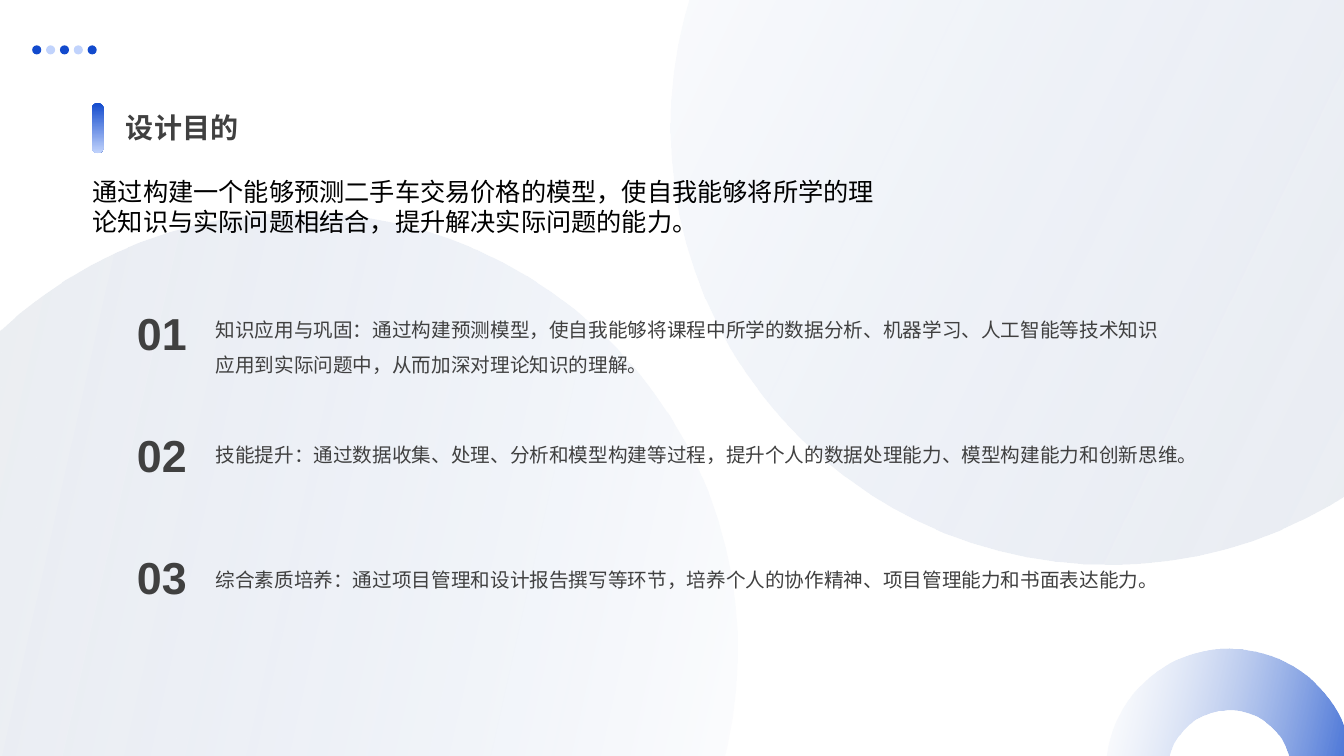
from pptx import Presentation
from pptx.dml.color import RGBColor
from pptx.enum import lang, shapes, text
from pptx.oxml import ns
from pptx.util import Pt
from lxml import etree

BLUE, PALE, MIST, GREY, INK = "124ACD", "C1D3FC", "C7D5ED", "F2F2F2", "404040"
SHAPE = shapes.MSO_SHAPE
CJK_FONT = "Noto Sans CJK SC"

TITLE = "设计目的"
INTRO = ("通过构建一个能够预测二手车交易价格的模型，使自我能够将所学的理论知识与实际问题相结合，"
         "提升解决实际问题的能力。")
GOALS = [
    ("知识应用与巩固：通过构建预测模型，使自我能够将课程中所学的数据分析、机器学习、"
     "人工智能等技术知识应用到实际问题中，从而加深对理论知识的理解。", 690),
    ("技能提升：通过数据收集、处理、分析和模型构建等过程，提升个人的数据处理能力、"
     "模型构建能力和创新思维。", 726),
    ("综合素质培养：通过项目管理和设计报告撰写等环节，培养个人的协作精神、"
     "项目管理能力和书面表达能力。", 690),
]


def color(value):
    return RGBColor.from_string(value)


def place(shape, left, top, width, height):
    shape.left, shape.top = Pt(left), Pt(top)
    shape.width, shape.height = Pt(width), Pt(height)


def add_plain(parent, kind, left, top, width, height):
    """Add a preset shape without line or shadow."""
    shape = parent.shapes.add_shape(kind, Pt(left), Pt(top), Pt(width), Pt(height))
    shape.shadow.inherit = False
    shape.line.fill.background()
    return shape


def shade(shape, start, end, fade=False):
    """Fill from top to bottom, optionally fading out to transparent."""
    shape.fill.gradient()
    shape.fill.gradient_angle = 270
    stops = shape.fill.gradient_stops
    for stop, value in zip(stops, (start, end)):
        stop.color.rgb = color(value)
    if fade:
        last = shape._element.spPr.findall(".//" + ns.qn("a:srgbClr"))[-1]
        etree.SubElement(last, ns.qn("a:alpha"), val="0")


def add_round(page, kind, left, top, size, rotation, start):
    shape = add_plain(page, kind, left, top, size, size)
    shape.rotation = rotation
    shade(shape, start, MIST, fade=True)


def add_dots(page):
    group = page.shapes.add_group_shape()
    for index in range(5):
        dot = add_plain(group, SHAPE.OVAL, 23 + 9.9 * index, 32.4, 6.5, 6.5)
        dot.fill.solid()
        dot.fill.fore_color.rgb = color(PALE if index % 2 else BLUE)


def write(box, words, size, value=INK, font="Arial", bold=False, spacing=1.0,
          anchor=text.MSO_ANCHOR.TOP):
    frame = box.text_frame
    frame.word_wrap = True
    frame.auto_size = text.MSO_AUTO_SIZE.NONE
    frame.vertical_anchor = anchor
    para = frame.paragraphs[0]
    para.text = words
    para.alignment = text.PP_ALIGN.LEFT
    para.line_spacing = spacing
    para.space_before = Pt(0)
    para.font.name, para.font.size, para.font.bold = font, Pt(size), bold
    para.font.color.rgb = color(value)
    para.font.language_id = lang.MSO_LANGUAGE_ID.SIMPLIFIED_CHINESE
    latin = para._p.pPr.find(".//" + ns.qn("a:latin"))
    latin.addnext(latin.makeelement(ns.qn("a:ea"), {"typeface": CJK_FONT}))


def fill_placeholder(page, box, frame, words, size, **style):
    """Write a placeholder without bullet and bring it to the front."""
    place(box, *frame)
    write(box, words, size, **style)
    properties = box.text_frame.paragraphs[0]._p.pPr
    properties.set("marL", "0")
    properties.set("indent", "0")
    bullet = properties.makeelement(ns.qn("a:buNone"), {})
    properties.find(ns.qn("a:defRPr")).addprevious(bullet)
    page.shapes._spTree.append(box._element)


def add_text(page, left, top, width, height, words, size, **style):
    box = page.shapes.add_textbox(Pt(left), Pt(top), Pt(width), Pt(height))
    write(box, words, size, **style)


def add_goal(page, index, words, width):
    add_text(page, 90.7, 206.6 + 87.1 * index, 50.4, 54, f"{index + 1:02}", 32,
             bold=True, spacing=1.2, anchor=text.MSO_ANCHOR.BOTTOM)
    height = 58.3 if index == 0 else 32.4
    add_text(page, 146.9, 215.3 + 89.3 * index, width, height, words, 14, spacing=1.5)


def main():
    deck = Presentation()
    deck.slide_width, deck.slide_height = Pt(960), Pt(540)
    page = deck.slides.add_slide(deck.slide_layouts[1])

    add_round(page, SHAPE.OVAL, -98.6, 151.9, 625.7, 282.6, GREY)
    add_round(page, SHAPE.OVAL, 478.8, -222.5, 625.7, 115.8, GREY)
    add_dots(page)
    add_round(page, SHAPE.DONUT, 789.8, 463, 176.4, 102.5, BLUE)

    for index, (words, width) in enumerate(GOALS):
        add_goal(page, index, words, width)

    bar = add_plain(page, SHAPE.ROUNDED_RECTANGLE, 65.5, 73.4, 8.6, 36)
    bar.adjustments[0] = 0.5
    shade(bar, BLUE, PALE)
    fill_placeholder(page, page.shapes.title, (82.8, 73.4, 333.4, 33.1), TITLE, 20,
                     bold=True, anchor=text.MSO_ANCHOR.BOTTOM)
    fill_placeholder(page, page.placeholders[1], (59, 122.4, 586.1, 51.1), INTRO, 18,
                     value="000000", font=CJK_FONT)
    deck.save("out.pptx")


if __name__ == "__main__":
    main()
